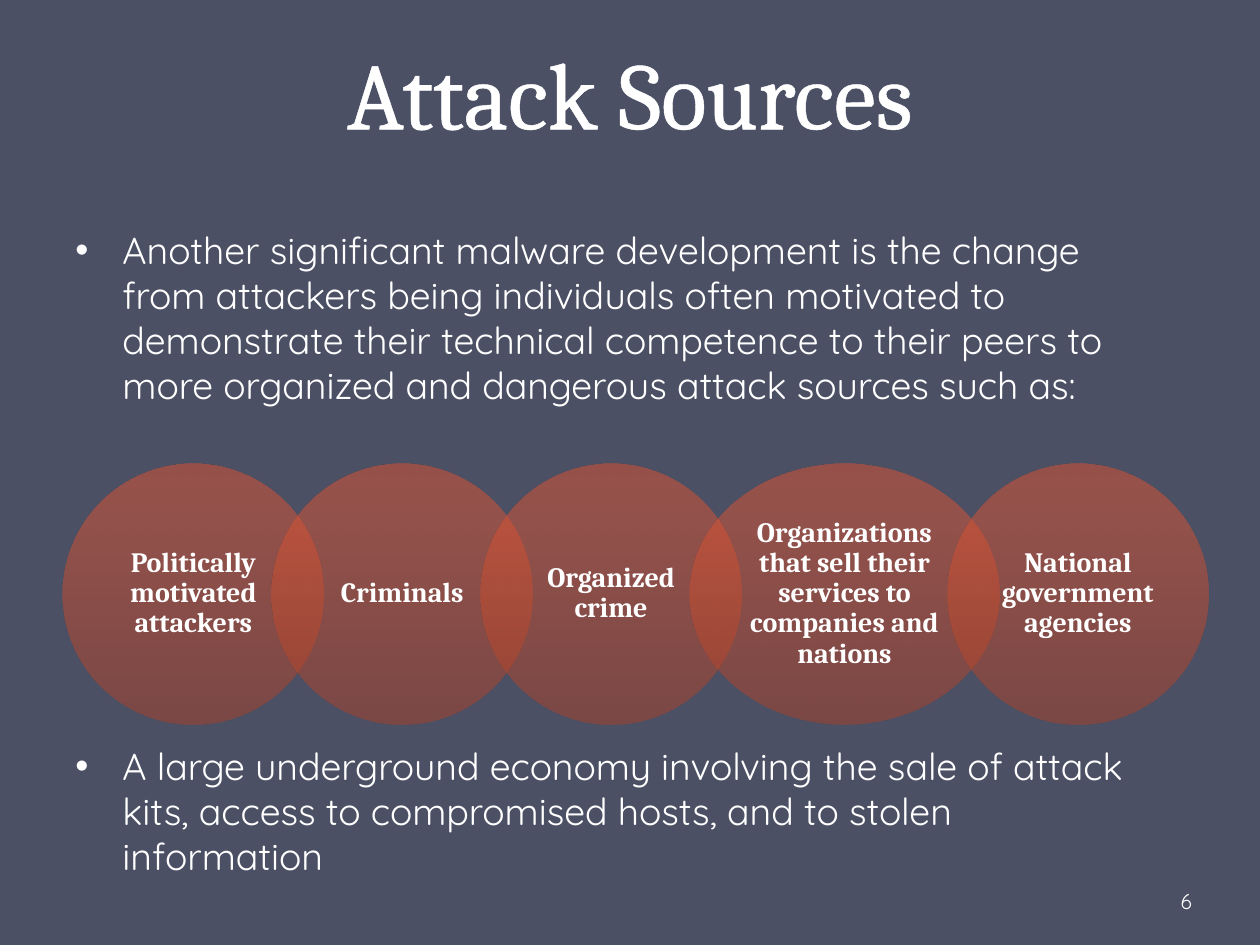
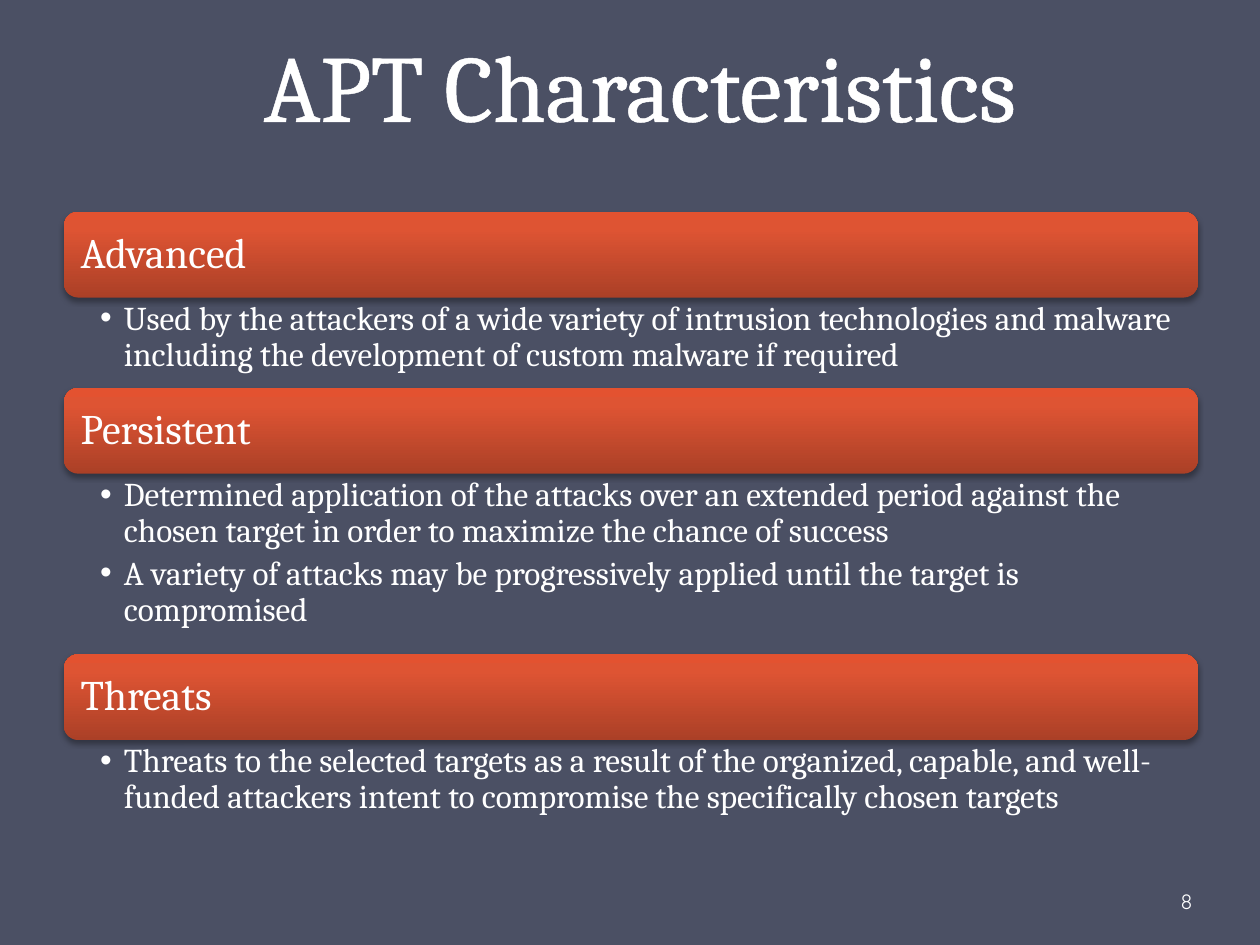
from dataclasses import dataclass

from lxml import etree
from pptx import Presentation
from pptx import util as u
from pptx.dml.color import RGBColor
from pptx.enum import shapes, text
from pptx.oxml import ns


@dataclass(frozen=True)
class Theme:
    background: str = "4B5064"
    ink: str = "FFFFFF"
    shadow: str = "000000"
    glow: tuple[tuple[int, str], ...] = ((0, "AB4027"), (80, "DE5433"), (100, "E35230"))
    serif: str = "Cambria"
    sans: str = "Quicksand"
    title_size: float = 54
    heading_size: float = 24
    body_size: float = 21.4
    detail_size: float = 19
    circle_size: float = 16
    number_size: float = 12


THEME = Theme()


@dataclass(frozen=True)
class Box:
    left: float
    top: float
    width: float
    height: float

    def lengths(self) -> tuple[u.Length, ...]:
        return tuple(u.Cm(v) for v in (self.left, self.top, self.width, self.height))


@dataclass(frozen=True)
class TextStyle:
    font: str
    size: float
    insets: tuple[float, float, float, float] = (0.25, 0.13, 0.25, 0.13)
    align: text.PP_ALIGN = text.PP_ALIGN.LEFT
    anchor: text.MSO_ANCHOR = text.MSO_ANCHOR.MIDDLE
    line_spacing: float | u.Length = 1.0
    gap: float = 0
    indent: float = 0
    bold: bool = False
    outline: float = 0


@dataclass(frozen=True)
class Source:
    label: str
    width: float = 5.26


@dataclass(frozen=True)
class Trait:
    name: str
    details: tuple[str, ...]
    details_height: float


TITLE = TextStyle(THEME.serif, THEME.title_size, align=text.PP_ALIGN.CENTER,
                  anchor=text.MSO_ANCHOR.BOTTOM, line_spacing=u.Pt(58), outline=1.45)
BODY = TextStyle(THEME.sans, THEME.body_size, insets=(0.25, 0.13, 0.7, 0.13),
                 anchor=text.MSO_ANCHOR.TOP, gap=192, indent=0.95)
CIRCLE = TextStyle(THEME.serif, THEME.circle_size, insets=(0.28, 0.05, 0.28, 0.05),
                   align=text.PP_ALIGN.CENTER, line_spacing=0.9, bold=True)
HEADING = TextStyle(THEME.serif, THEME.heading_size, insets=(0.25,) * 4, line_spacing=0.9)
DETAIL = TextStyle(THEME.serif, THEME.detail_size, insets=(0.73, 0.08, 0.48, 0.08),
                   anchor=text.MSO_ANCHOR.TOP, line_spacing=0.9, gap=4, indent=0.48)
NUMBER = TextStyle(THEME.sans, THEME.number_size, insets=(0.08, 0.13, 0.13, 0.13))

STATEMENTS = (
    "Another significant malware development is the change from attackers being individuals "
    "often motivated to demonstrate their technical competence to their peers to more "
    "organized and dangerous attack sources such as:",
    "A large underground economy involving the sale of attack kits, access to compromised "
    "hosts, and to stolen information",
)
SOURCES = (
    Source("Politically motivated attackers"),
    Source("Criminals"),
    Source("Organized crime"),
    Source("Organizations that sell their services to companies and nations", 6.25),
    Source("National government agencies"),
)
TRAITS = (
    Trait("Advanced", (
        "Used by the attackers of a wide variety of intrusion technologies and malware "
        "including the development of custom malware if required",
    ), 1.82),
    Trait("Persistent", (
        "Determined application of the attacks over an extended period against the chosen "
        "target in order to maximize the chance of success",
        "A variety of attacks may be progressively applied until the target is compromised",
    ), 3.64),
    Trait("Threats", (
        "Threats to the selected targets as a result of the organized, capable, and "
        "well-funded attackers intent to compromise the specifically chosen targets",
    ), 2.62),
)


def add_node(parent, tag: str, **attributes):
    values = {key: str(value) for key, value in attributes.items()}
    return etree.SubElement(parent, ns.qn(tag), values)


def add_colour(parent, colour: str, opacity: int = 100) -> None:
    node = add_node(parent, "a:srgbClr", val=colour)
    if opacity < 100:
        add_node(node, "a:alpha", val=opacity * 1000)


def write_text(frame, style: TextStyle, *paragraphs: str) -> None:
    frame.word_wrap = True
    frame.auto_size = text.MSO_AUTO_SIZE.NONE
    frame.vertical_anchor = style.anchor
    (frame.margin_left, frame.margin_top,
     frame.margin_right, frame.margin_bottom) = (u.Cm(v) for v in style.insets)
    for index, words in enumerate(paragraphs):
        paragraph = frame.add_paragraph() if index else frame.paragraphs[0]
        paragraph.alignment = style.align
        paragraph.line_spacing = style.line_spacing
        paragraph.space_before = u.Pt(style.gap if index else 0)
        if style.indent:
            properties = paragraph._p.get_or_add_pPr()
            properties.set("marL", str(u.Cm(style.indent)))
            properties.set("indent", str(-u.Cm(style.indent)))
            add_node(properties, "a:buFont", typeface="Arial")
            add_node(properties, "a:buChar", char="•")
        run = paragraph.add_run()
        run.text = words
        run.font.name = style.font
        run.font.size = u.Pt(style.size)
        run.font.bold = style.bold
        run.font.color.rgb = RGBColor.from_string(THEME.ink)
        if style.outline:
            line = add_node(run.font._element, "a:ln", w=u.Pt(style.outline))
            add_colour(add_node(line, "a:solidFill"), THEME.ink)
            run.font._element.insert(0, line)


def add_text(slide, box: Box, style: TextStyle, *paragraphs: str) -> None:
    write_text(slide.shapes.add_textbox(*box.lengths()).text_frame, style, *paragraphs)


def add_glowing_shape(slide, preset: shapes.MSO_SHAPE, box: Box, style: TextStyle,
                      label: str, opacity: int = 100, shadow: bool = False) -> None:
    shape = slide.shapes.add_shape(preset, *box.lengths())
    shape.line.fill.background()
    shape.shadow.inherit = False
    shape.fill.background()
    properties = shape._element.spPr
    gradient = etree.Element(ns.qn("a:gradFill"), rotWithShape="1")
    stops = add_node(gradient, "a:gsLst")
    for position, colour in THEME.glow:
        add_colour(add_node(stops, "a:gs", pos=position * 1000), colour, opacity)
    add_node(gradient, "a:lin", ang=270 * 60000, scaled=0)
    properties.replace(properties.find(ns.qn("a:noFill")), gradient)
    if shadow:
        effects = properties.find(ns.qn("a:effectLst"))
        cast = add_node(effects, "a:outerShdw", blurRad=u.Pt(3.1), dist=u.Pt(1.8),
                        dir=90 * 60000, rotWithShape=0)
        add_colour(cast, THEME.shadow, 35)
    write_text(shape.text_frame, style, label)


def add_slide(deck, title: str, title_box: Box, number: int):
    slide = deck.slides.add_slide(deck.slide_layouts[6])
    slide.background.fill.solid()
    slide.background.fill.fore_color.rgb = RGBColor.from_string(THEME.background)
    add_text(slide, title_box, TITLE, title)
    add_text(slide, Box(23.72, 17.65, 1.55, 1.02), NUMBER, str(number))
    return slide


def build_sources(deck) -> None:
    slide = add_slide(deck, "Attack Sources", Box(1.27, 0, 22.86, 3.12), 6)
    add_text(slide, Box(1.27, 4.45, 22.86, 13.69), BODY, *STATEMENTS)
    left, overlap = 1.27, 1.05
    for source in SOURCES:
        add_glowing_shape(slide, shapes.MSO_SHAPE.OVAL, Box(left, 9.34, source.width, 5.26),
                          CIRCLE, source.label, opacity=50)
        left += source.width - overlap


def build_traits(deck) -> None:
    slide = add_slide(deck, "APT Characteristics", Box(1.47, 0, 22.86, 2.97), 8)
    left, top, width, bar_height = 1.29, 4.27, 22.86, 1.73
    for trait in TRAITS:
        add_glowing_shape(slide, shapes.MSO_SHAPE.ROUNDED_RECTANGLE,
                          Box(left, top, width, bar_height), HEADING, trait.name, shadow=True)
        top += bar_height
        add_text(slide, Box(left, top, width, trait.details_height), DETAIL, *trait.details)
        top += trait.details_height


def main() -> None:
    deck = Presentation()
    deck.slide_width, deck.slide_height = u.Cm(25.4), u.Cm(19.05)
    build_sources(deck)
    build_traits(deck)
    deck.save("out.pptx")


if __name__ == "__main__":
    main()
